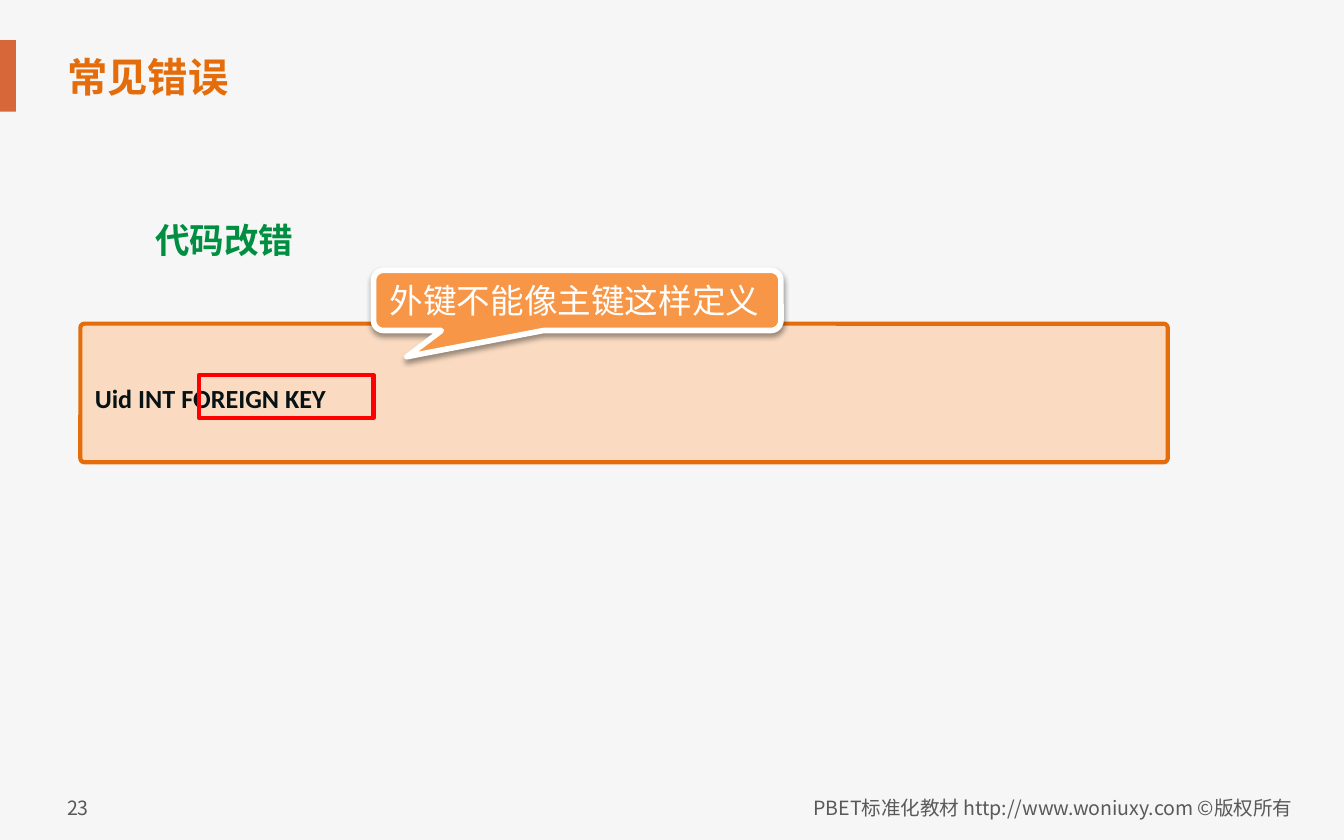
from lxml.etree import SubElement
from pptx import Presentation
from pptx.dml.color import RGBColor
from pptx.enum.shapes import MSO_SHAPE
from pptx.enum.text import MSO_ANCHOR, PP_ALIGN
from pptx.oxml.ns import qn
from pptx.util import Cm, Pt

CJK_FONT = "Noto Sans CJK SC"
ORANGE = "E46C0A"


def color(hex_value):
    return RGBColor.from_string(hex_value)


def write_text(shape, text, hex_color, size, font_name=CJK_FONT, bold=False,
               alignment=PP_ALIGN.LEFT, line_spacing=None, wrap=True):
    frame = shape.text_frame
    frame.word_wrap = wrap
    frame.vertical_anchor = MSO_ANCHOR.MIDDLE
    paragraph = frame.paragraphs[0]
    paragraph.alignment = alignment
    paragraph.line_spacing = line_spacing
    run = paragraph.add_run()
    run.text = text
    run.font.color.rgb = color(hex_color)
    for name, value in {"name": font_name, "size": Pt(size), "bold": bold}.items():
        setattr(run.font, name, value)
    SubElement(run.font._element, qn("a:ea"), typeface=CJK_FONT)


def add_text(slide, box, text, hex_color, size, **text_format):
    shape = slide.shapes.add_textbox(*map(Cm, box))
    write_text(shape, text, hex_color, size, **text_format)


def add_shape(slide, kind, box, fill=None, line=None, width=2.25, adjustments=()):
    shape = slide.shapes.add_shape(kind, *map(Cm, box))
    shape.shadow.inherit = False
    if fill:
        shape.fill.solid()
        shape.fill.fore_color.rgb = color(fill)
    else:
        shape.fill.background()
    if line:
        shape.line.color.rgb = color(line)
        shape.line.width = Pt(width)
    else:
        shape.line.fill.background()
    for index, value in enumerate(adjustments):
        shape.adjustments[index] = value
    return shape


def set_alpha(color_parent, percent):
    SubElement(color_parent.find(qn("a:srgbClr")), qn("a:alpha"), val=str(percent * 1000))


def add_drop_shadow(shape):
    effects = shape._element.spPr.find(qn("a:effectLst"))
    shadow = SubElement(effects, qn("a:outerShdw"), blurRad=str(Pt(3.1)),
                        dist=str(Pt(1.6)), dir="5400000", rotWithShape="0")
    SubElement(shadow, qn("a:srgbClr"), val="000000")
    set_alpha(shadow, 38)


def add_header(slide, left, top, width, height):
    add_shape(slide, MSO_SHAPE.RECTANGLE, (left, top, 0.3, height), fill="D76739")
    add_text(slide, (left + 1.02, top + 0.08, width - 1.02, 1.22),
             "常见错误", ORANGE, 21.6, bold=True)


def add_code_example(slide, left, top, width, height):
    """Code panel with its heading, the marked error and the explaining callout."""
    panel = add_shape(slide, MSO_SHAPE.ROUNDED_RECTANGLE, (left, top, width, height),
                      fill="FCD5B5", line=ORANGE, adjustments=[0.029])
    set_alpha(panel._element.spPr.find(qn("a:solidFill")), 80)
    write_text(panel, "Uid INT FOREIGN KEY", "071215", 14, font_name="Calibri",
               bold=True, line_spacing=1.3)
    callout = add_shape(slide, MSO_SHAPE.ROUNDED_RECTANGULAR_CALLOUT,
                        (left + 5.54, top - 1.01, 7.7, 1.14), fill="F79646",
                        line="FFFFFF", width=3, adjustments=[-0.418, 0.934, 0.167])
    add_drop_shadow(callout)
    write_text(callout, "外键不能像主键这样定义", "FFFFFF", 18, font_name="Calibri")
    add_shape(slide, MSO_SHAPE.FLOWCHART_PROCESS, (left + 2.24, top + 0.97, 3.3, 0.81),
              line="FF0000")
    add_text(slide, (left + 1.17, top - 2.11, 3.33, 1.04),
             "代码改错", "008E40", 18.5, bold=True)


def add_footer(slide, left, top, width, height):
    add_text(slide, (left, top, 1.02, height), "23", "595959", 10.5, wrap=False)
    credit_width = 12
    add_text(slide, (left + width - credit_width, top, credit_width, height),
             "PBET标准化教材 http://www.woniuxy.com ©版权所有", "595959", 10.5,
             alignment=PP_ALIGN.RIGHT)


def main():
    presentation = Presentation()
    presentation.slide_width = Cm(25.4)
    presentation.slide_height = Cm(15.88)
    slide = presentation.slides.add_slide(presentation.slide_layouts[6])
    slide.background.fill.solid()
    slide.background.fill.fore_color.rgb = color("F6F6F6")
    add_header(slide, 0, 0.76, 18.85, 1.35)
    add_footer(slide, 1.02, 14.91, 23.65, 0.71)
    add_code_example(slide, 1.52, 6.12, 20.55, 2.62)
    presentation.save("out.pptx")


if __name__ == "__main__":
    main()
